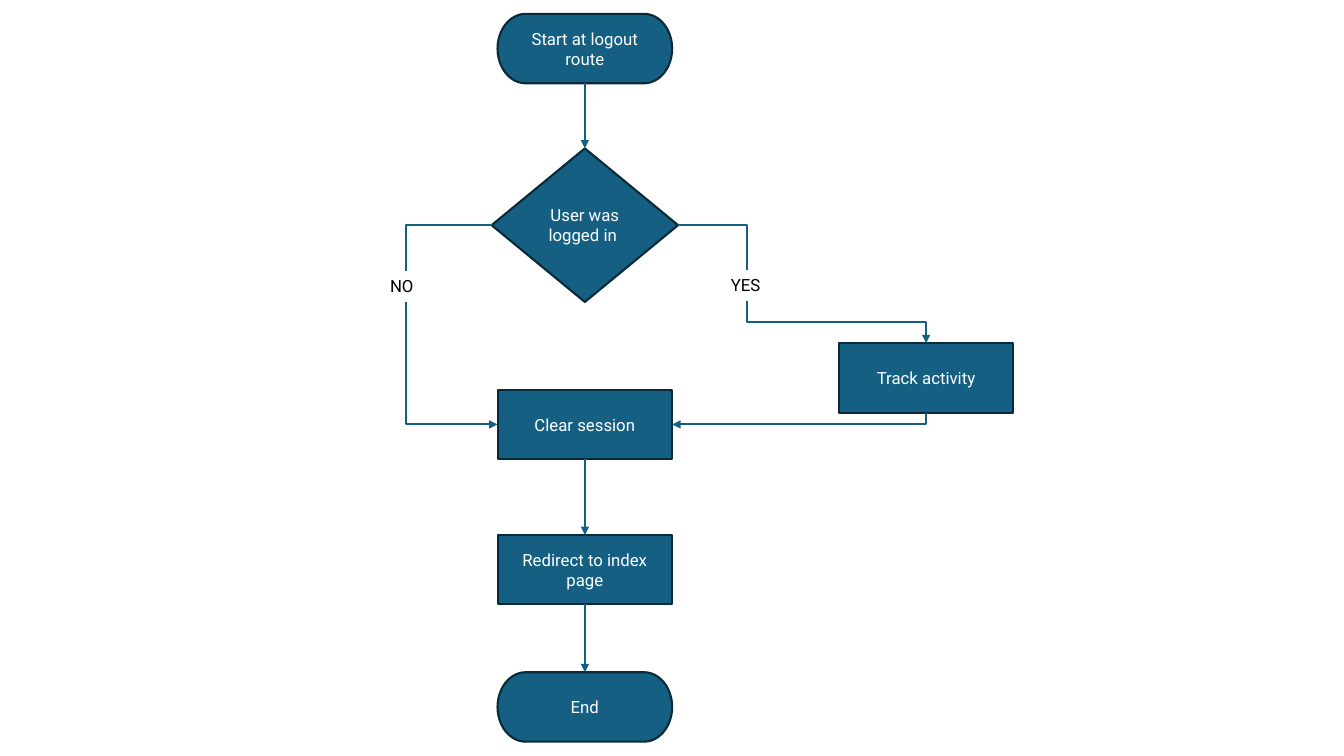
from lxml.etree import SubElement
from pptx import Presentation
from pptx.dml.color import RGBColor
from pptx.enum.shapes import MSO_CONNECTOR, MSO_SHAPE
from pptx.enum.text import MSO_ANCHOR, PP_ALIGN
from pptx.oxml.ns import qn
from pptx.util import Cm, Pt

FONT = "Roboto"
BLUE, NAVY, WHITE, BLACK = "156082", "092A39", "FFFFFF", "000000"
CENTER_X = 14.74
BOX_W, BOX_H = 4.4, 1.75
TOP, LEFT, BOTTOM, RIGHT = range(4)


def rgb(color):
    """Turn a hex string into a colour."""
    return RGBColor.from_string(color)


def write(sp, text, color, align):
    """Set and format the text of a shape."""
    tf = sp.text_frame
    tf.word_wrap = True
    tf.text = text
    p = tf.paragraphs[0]
    p.alignment = align
    font = p.runs[0].font
    font.name, font.size = FONT, Pt(12)
    font.color.rgb = rgb(color)


def add_step(slide, kind, text, top, center=CENTER_X, width=BOX_W, height=BOX_H):
    """Add a flowchart step centred on a column."""
    sp = slide.shapes.add_shape(
        kind, Cm(center - width / 2), Cm(top), Cm(width), Cm(height))
    sp.shadow.inherit = False
    sp.fill.solid()
    sp.fill.fore_color.rgb = rgb(BLUE)
    sp.line.color.rgb = rgb(NAVY)
    sp.line.width = Pt(1.5)
    sp.text_frame.vertical_anchor = MSO_ANCHOR.MIDDLE
    write(sp, text, WHITE, PP_ALIGN.CENTER)
    return sp


def add_label(slide, text, left, top):
    """Add a branch label."""
    sp = slide.shapes.add_textbox(Cm(left), Cm(top), Cm(1.32), Cm(0.77))
    write(sp, text, BLACK, PP_ALIGN.LEFT)
    return sp


def side_point(sp, side):
    """Return the middle of one side of a shape."""
    x, y = sp.left + sp.width // 2, sp.top + sp.height // 2
    return {
        TOP: (x, sp.top),
        LEFT: (sp.left, y),
        BOTTOM: (x, sp.top + sp.height),
        RIGHT: (sp.left + sp.width, y),
    }[side]


def style_line(line, arrow):
    """Format a connector, with an optional arrowhead."""
    line.line.color.rgb = rgb(BLUE)
    line.line.width = Pt(1.5)
    sp_pr = line._element.spPr
    if arrow:
        SubElement(sp_pr.find(qn("a:ln")), qn("a:tailEnd"), type="triangle")
    SubElement(sp_pr, qn("a:effectLst"))


def add_arrow(slide, upper, lower):
    """Join two steps with a straight downward arrow."""
    line = slide.shapes.add_connector(
        MSO_CONNECTOR.STRAIGHT, *side_point(upper, BOTTOM), *side_point(lower, TOP))
    line.begin_connect(upper, BOTTOM)
    line.end_connect(lower, TOP)
    style_line(line, True)


def add_elbow(slide, start, end, preset="bentConnector2", down=False, arrow=True):
    """Add a bent line that leaves sideways, or downwards if down is set."""
    (x1, y1), (x2, y2) = start, end
    turn = 0
    if down:
        side = 1 if x2 > x1 else -1
        mid_x, mid_y = (x1 + x2) // 2, (y1 + y2) // 2
        half_w, half_h = side * (y2 - y1) // 2, abs(x2 - x1) // 2
        x1, x2 = mid_x + half_w, mid_x - half_w
        y1, y2 = mid_y - half_h, mid_y + half_h
        turn = 270 if side > 0 else 90
    line = slide.shapes.add_connector(MSO_CONNECTOR.ELBOW, x1, y1, x2, y2)
    sp_pr = line._element.spPr
    sp_pr.find(qn("a:prstGeom")).set("prst", preset)
    sp_pr.find(qn("a:xfrm")).set("rot", str(turn * 60000))
    style_line(line, arrow)


def main():
    """Build the logout flowchart."""
    prs = Presentation()
    prs.slide_width, prs.slide_height = Cm(33.87), Cm(19.05)
    slide = prs.slides.add_slide(prs.slide_layouts[6])

    terminator, box = MSO_SHAPE.FLOWCHART_TERMINATOR, MSO_SHAPE.RECTANGLE
    start = add_step(slide, terminator, "Start at logout route", 0.35)
    decision = add_step(slide, MSO_SHAPE.DIAMOND, "User was logged in ", 3.74,
                        width=4.7, height=3.87)
    clear = add_step(slide, box, "Clear session", 9.82)
    track = add_step(slide, box, "Track activity", 8.65, center=23.34)
    redirect = add_step(slide, box, "Redirect to index page", 13.48)
    end = add_step(slide, terminator, "End", 16.94)
    yes = add_label(slide, "YES", 18.17, 6.81)
    no = add_label(slide, "NO", 9.58, 6.83)

    for upper, lower in ((start, decision), (clear, redirect), (redirect, end)):
        add_arrow(slide, upper, lower)
    for side, label in ((RIGHT, yes), (LEFT, no)):
        add_elbow(slide, side_point(decision, side), side_point(label, TOP), arrow=False)
    add_elbow(slide, side_point(no, BOTTOM), side_point(clear, LEFT), down=True)
    add_elbow(slide, side_point(yes, BOTTOM), side_point(track, TOP),
              "bentConnector3", down=True)
    add_elbow(slide, side_point(track, BOTTOM), side_point(clear, RIGHT), down=True)

    prs.save("out.pptx")


if __name__ == "__main__":
    main()
